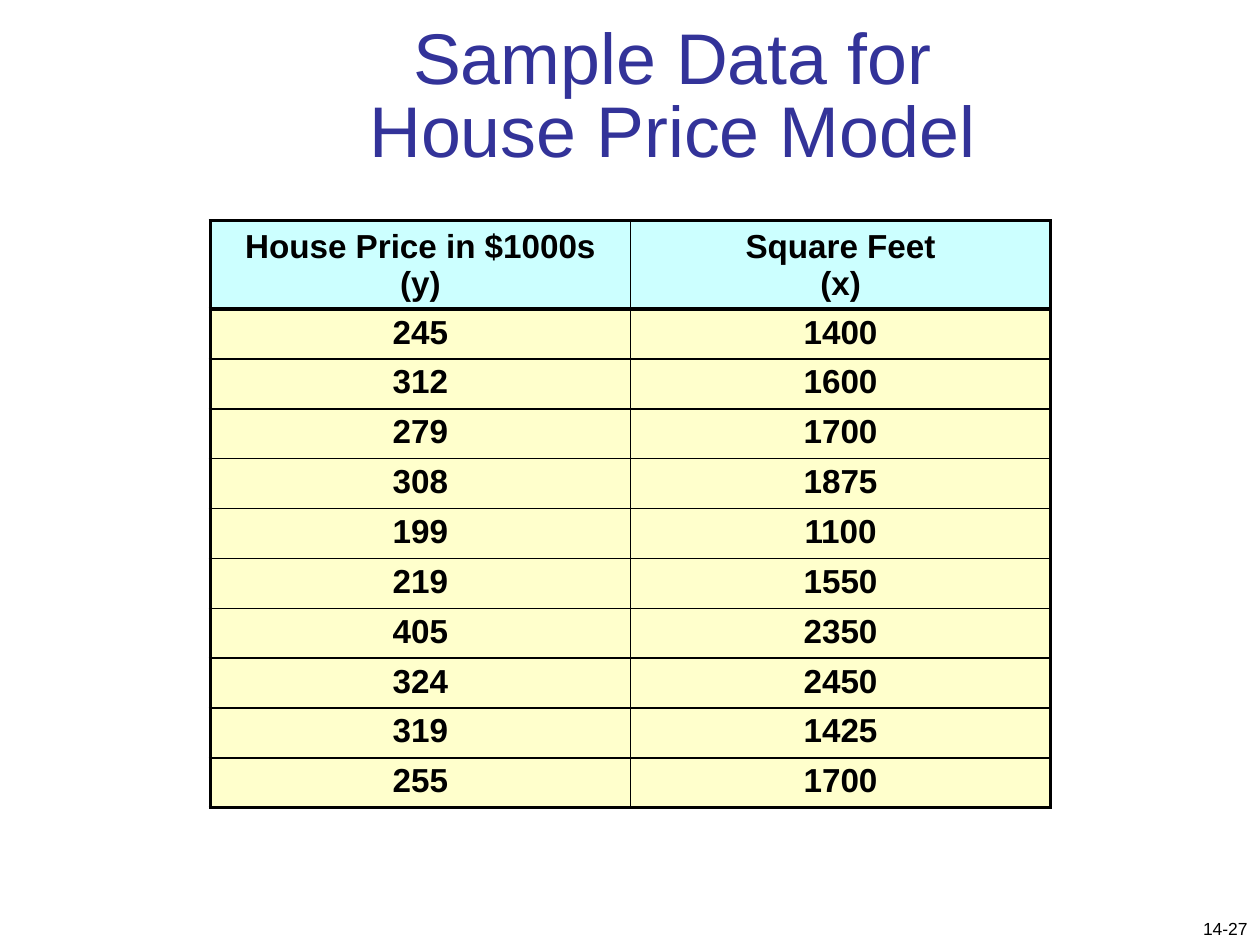
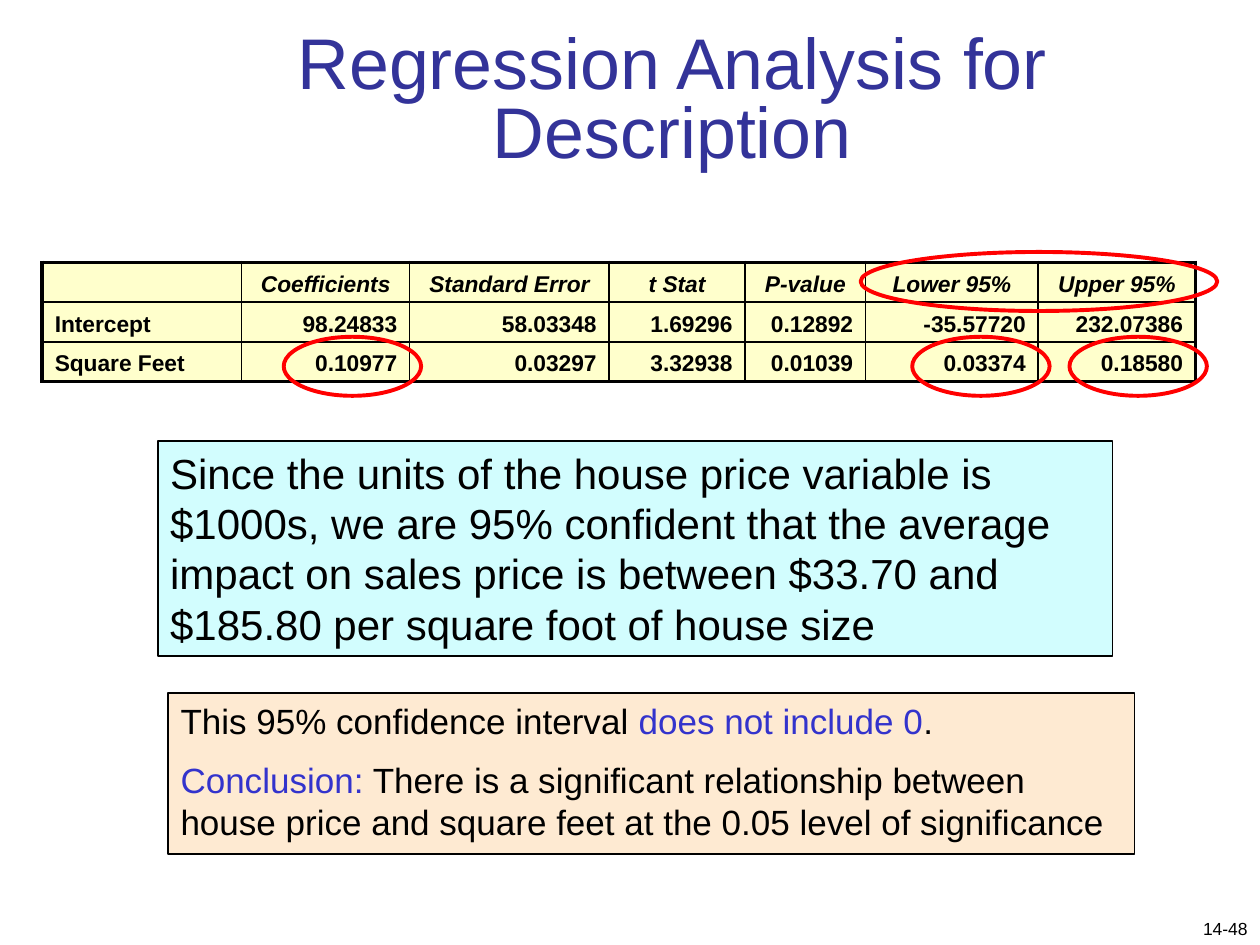
"""Build two slides on the house price regression example."""
import lxml.etree
import pptx
import pptx.dml.color
import pptx.enum.shapes
import pptx.enum.text
import pptx.oxml.ns
import pptx.util

Cm = pptx.util.Cm
Pt = pptx.util.Pt
RGB = pptx.dml.color.RGBColor
ALIGN = pptx.enum.text.PP_ALIGN
ANCHOR = pptx.enum.text.MSO_ANCHOR
SHAPE = pptx.enum.shapes.MSO_SHAPE
qn = pptx.oxml.ns.qn

BLACK = RGB(0x00, 0x00, 0x00)
TITLE_BLUE = RGB(0x33, 0x33, 0x99)
ACCENT_BLUE = RGB(0x33, 0x33, 0xCC)
RED = RGB(0xFF, 0x00, 0x00)
HEADER_CYAN = RGB(0xCC, 0xFF, 0xFF)
CELL_YELLOW = RGB(0xFF, 0xFF, 0xCC)
NOTE_CYAN = RGB(0xD2, 0xFD, 0xFE)
NOTE_PEACH = RGB(0xFE, 0xEA, 0xD2)

FONT = "Arial"
THICK, THIN = 2.25, 1
TITLE_BOTTOM = 3.6
RING_SIZE = (2.77, 1.19)

HOUSES = [(245, 1400), (312, 1600), (279, 1700), (308, 1875), (199, 1100),
          (219, 1550), (405, 2350), (324, 2450), (319, 1425), (255, 1700)]
REGRESSION = [
    ["", "Coefficients", "Standard Error", "t Stat", "P-value", "Lower 95%", "Upper 95%"],
    ["Intercept", "98.24833", "58.03348", "1.69296", "0.12892", "-35.57720", "232.07386"],
    ["Square Feet", "0.10977", "0.03297", "3.32938", "0.01039", "0.03374", "0.18580"],
]


def put_text(tf, paragraphs, size, color=BLACK, align=ALIGN.LEFT, bold=False,
             italic=False, spacing=None, later_spacing=None, gap=0):
    """Fill a text frame with paragraphs, each a string or a list of (text, colour) runs."""
    tf.word_wrap = True
    for i, runs in enumerate(paragraphs):
        p = tf.add_paragraph() if i else tf.paragraphs[0]
        p.alignment = align
        line_spacing = later_spacing if i and later_spacing else spacing
        if line_spacing:
            p.line_spacing = line_spacing
        if i:
            p.space_before = Pt(gap)
        if not runs:
            lxml.etree.SubElement(p._p, qn("a:endParaRPr"), sz=str(size * 100))
            continue
        for text, run_color in [(runs, color)] if isinstance(runs, str) else runs:
            for j, line in enumerate(text.split("\n")):
                if j:
                    p.add_line_break()
                r = p.add_run()
                r.text = line
                r.font.name, r.font.size = FONT, Pt(size)
                r.font.bold, r.font.italic = bold, italic
                r.font.color.rgb = run_color


def add_text(s, box, text, size, **fmt):
    """Add a bottom-anchored text box."""
    tf = s.shapes.add_textbox(*map(Cm, box)).text_frame
    tf.vertical_anchor = ANCHOR.BOTTOM
    put_text(tf, [text], size, **fmt)


def start_slide(prs, title, title_top, title_spacing, number):
    """Add a blank slide with its page number and title."""
    s = prs.slides.add_slide(prs.slide_layouts[6])
    add_text(s, (20.12, 18.19, 5.28, 0.86), number, 10, align=ALIGN.RIGHT)
    add_text(s, (2.74, title_top, 21.64, TITLE_BOTTOM - title_top), title, 41,
             color=TITLE_BLUE, align=ALIGN.CENTER, spacing=title_spacing)
    return s


def set_borders(cell, **widths):
    """Draw black cell borders, keyed by side (L, R, T, B) with widths in points."""
    tcPr = cell._tc.get_or_add_tcPr()
    for side in "LRTB":
        ln = lxml.etree.SubElement(tcPr, qn(f"a:ln{side}"), w=str(Pt(widths[side])))
        fill = lxml.etree.SubElement(ln, qn("a:solidFill"))
        lxml.etree.SubElement(fill, qn("a:srgbClr"), val=str(BLACK))


def add_grid(s, left, top, col_widths, row_heights, thick_rows=()):
    """Add a yellow table with a thick frame and a thick rule below each of thick_rows."""
    n_rows, n_cols = len(row_heights), len(col_widths)
    table = s.shapes.add_table(n_rows, n_cols, Cm(left), Cm(top), Cm(sum(col_widths)),
                               Cm(sum(row_heights))).table
    table.first_row = table.horz_banding = False
    for col, width in zip(table.columns, col_widths):
        col.width = Cm(width)
    thick_lines = {0, n_rows, *(i + 1 for i in thick_rows)}
    for i, (row, height) in enumerate(zip(table.rows, row_heights)):
        row.height = Cm(height)
        for j, cell in enumerate(row.cells):
            set_borders(cell, L=THIN if j else THICK,
                        R=THICK if j == n_cols - 1 else THIN,
                        T=THICK if i in thick_lines else THIN,
                        B=THICK if i + 1 in thick_lines else THIN)
            cell.fill.solid()
            cell.fill.fore_color.rgb = CELL_YELLOW
            cell.margin_top = cell.margin_bottom = Cm(0.1)
    return table


def add_house_table(s, left, top):
    """Add the table of house prices and sizes."""
    table = add_grid(s, left, top, [8.47] * 2, [1.73] + [1] * len(HOUSES), thick_rows=[0])
    fmt = dict(size=19, bold=True, align=ALIGN.CENTER)
    headings = [["House Price in $1000s", "(y)"], ["Square Feet", "(x)"]]
    for j, heading in enumerate(headings):
        cell = table.cell(0, j)
        cell.fill.fore_color.rgb = HEADER_CYAN
        cell.vertical_anchor = ANCHOR.MIDDLE
        put_text(cell.text_frame, heading, later_spacing=0.8, gap=3.8, **fmt)
    for i, house in enumerate(HOUSES, 1):
        for j, value in enumerate(house):
            put_text(table.cell(i, j).text_frame, [str(value)], **fmt)


def add_regression_table(s, left, top):
    """Add the coefficient table."""
    widths = [4.02, 3.39, 4.02, 2.74, 2.43, 3.48, 3.17]
    table = add_grid(s, left, top, widths, [0.8] * len(REGRESSION))
    for i, row in enumerate(REGRESSION):
        for j, text in enumerate(row):
            cell = table.cell(i, j)
            cell.vertical_anchor = ANCHOR.BOTTOM
            align = ALIGN.CENTER if i == 0 else ALIGN.RIGHT if j else ALIGN.LEFT
            put_text(cell.text_frame, [text], 13, bold=True, italic=i == 0, align=align)


def add_rings(s, left, top):
    """Circle the key values of the coefficient table that starts at left, top."""
    rings = [(x, 1.5, *RING_SIZE) for x in (17.54, 20.71, 4.87)]
    for x, y, width, height in rings + [(16.5, -0.21, 7.19, 1.19)]:
        ring = s.shapes.add_shape(SHAPE.OVAL, Cm(left + x), Cm(top + y),
                                  Cm(width), Cm(height))
        ring.shadow.inherit = False
        ring.fill.background()
        ring.line.color.rgb = RED
        ring.line.width = Pt(THICK)


def add_note(s, box, fill, paragraphs, size):
    """Add a filled, outlined box of explanatory text."""
    note = s.shapes.add_shape(SHAPE.RECTANGLE, *map(Cm, box))
    note.shadow.inherit = False
    note.fill.solid()
    note.fill.fore_color.rgb = fill
    note.line.color.rgb = BLACK
    note.line.width = Pt(THIN)
    note.text_frame.vertical_anchor = ANCHOR.TOP
    put_text(note.text_frame, paragraphs, size, gap=size / 2)


def build_sample_data(prs):
    """Build the slide with the sample data."""
    s = start_slide(prs, "Sample Data for\nHouse Price Model", 1.47, 0.85, "14-27")
    add_house_table(s, 4.24, 4.45)


def build_description(prs):
    """Build the slide that interprets the confidence interval."""
    s = start_slide(prs, "Regression Analysis for Description", 0.64, 0.8, "14-48")
    add_note(s, (3.18, 8.89, 19.25, 4.34), NOTE_CYAN, [
        "Since the units of the house price variable is $1000s, we are 95% confident "
        "that the average impact on sales price is between $33.70 and $185.80 per "
        "square foot of house size"], 24)
    table_corner = (0.85, 5.29)
    add_regression_table(s, *table_corner)
    add_rings(s, *table_corner)
    add_note(s, (3.39, 13.97, 19.48, 3.25), NOTE_PEACH, [
        [("This 95% confidence interval ", BLACK), ("does not include 0", ACCENT_BLUE),
         (".", BLACK)],
        [("Conclusion:", ACCENT_BLUE),
         (" There is a significant relationship between house price and square feet "
          "at the 0.05 level of significance", BLACK)]], 20)


def main():
    """Build and save the presentation."""
    prs = pptx.Presentation()
    prs.slide_width, prs.slide_height = Cm(25.4), Cm(19.05)
    build_sample_data(prs)
    build_description(prs)
    prs.save("out.pptx")


if __name__ == "__main__":
    main()
